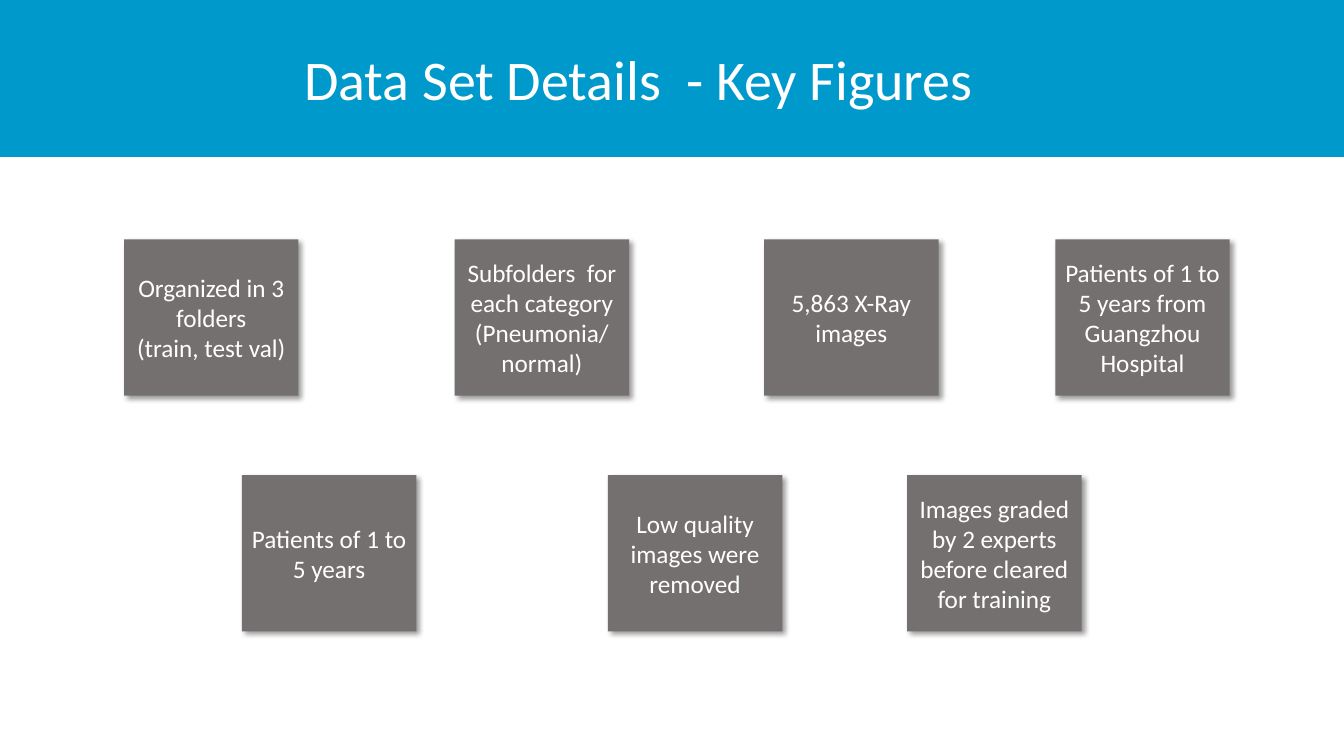
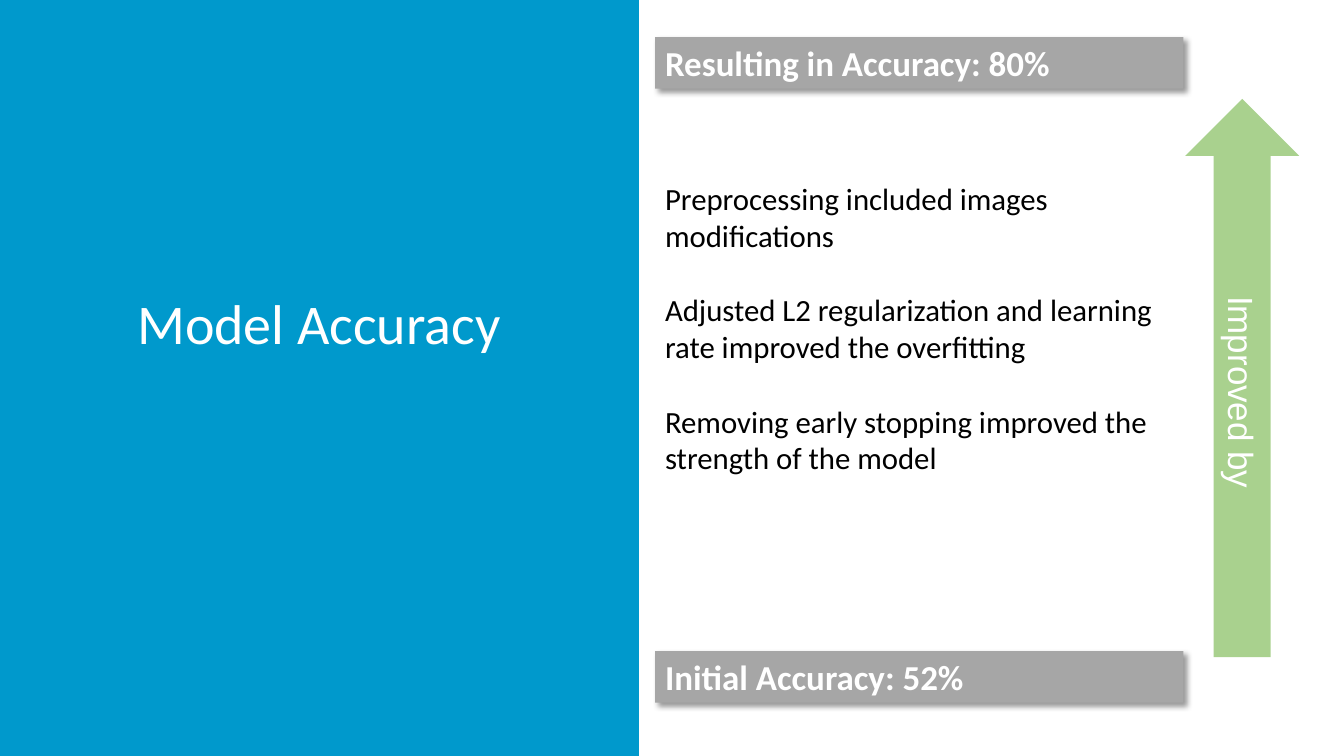
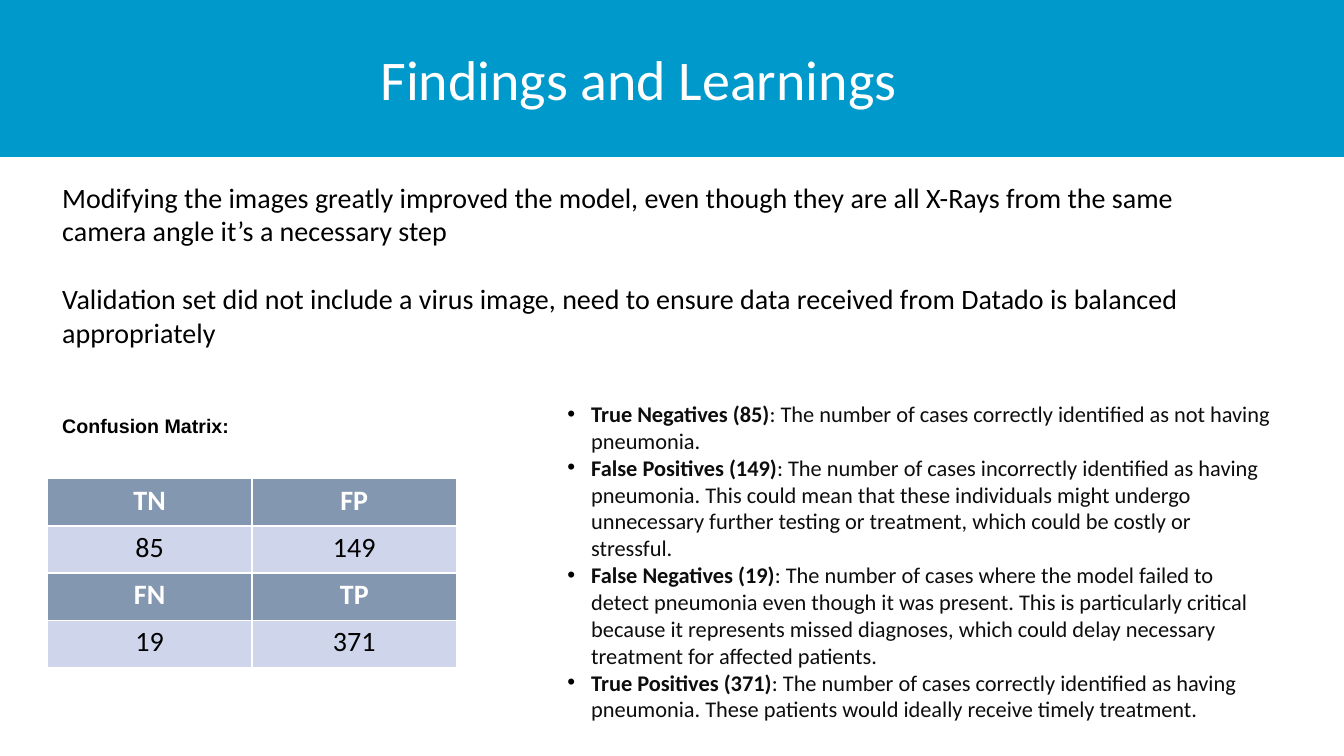
from lxml.etree import SubElement
from pptx import Presentation
from pptx.dml.color import RGBColor
from pptx.enum.shapes import MSO_SHAPE as Preset
from pptx.enum.text import MSO_ANCHOR as Anchor, MSO_AUTO_SIZE as AutoSize, PP_ALIGN as Align
from pptx.oxml.ns import qn
from pptx.util import Pt

BLUE = RGBColor(0x00, 0x99, 0xCC)
WHITE = RGBColor(0xFF, 0xFF, 0xFF)
BLACK = RGBColor(0x00, 0x00, 0x00)
INK = RGBColor(0x0D, 0x0D, 0x0D)
CARD_GREY = RGBColor(0x75, 0x70, 0x70)
BAR_GREY = RGBColor(0xA6, 0xA6, 0xA6)
ARROW_GREEN = RGBColor(0xA9, 0xD1, 0x8E)
HEADER_SLATE = RGBColor(0x84, 0x97, 0xB0)
CELL_LAVENDER = RGBColor(0xCF, 0xD5, 0xEA)

SLIDE_WIDTH, SLIDE_HEIGHT = 960, 540
BAND_HEIGHT = 111.6
TOP_TITLE = (33.8, 28, 844.6, 55.4)
CARD_WIDTH, CARD_HEIGHT = 124.6, 111.6

CARD_ROWS = [
    (171, [
        (88.6, ["Organized in 3 folders", "(train, test val)"]),
        (324.8, ["Subfolders  for each category", "(Pneumonia/ normal)"]),
        (545.8, ["5,863 X-Ray images"]),
        (753.8, ["Patients of 1 to 5 years from Guangzhou Hospital"]),
    ]),
    (339.4, [
        (172.8, ["Patients of 1 to 5 years"]),
        (434.2, ["Low quality images were removed"]),
        (648, ["Images graded by 2 experts before cleared for training"]),
    ]),
]
IMPROVEMENTS = [
    "Preprocessing included images modifications",
    "Adjusted L2 regularization and learning rate improved the overfitting",
    "Removing early stopping improved the strength of the model",
]
FINDINGS = [
    "Modifying the images greatly improved the model, even though they are all X-Rays "
    "from the same camera angle it’s a necessary step",
    "Validation set did not include a virus image, need to ensure data received from "
    "Datado is balanced appropriately",
]
CONFUSION_MATRIX = [("TN", "FP"), ("85", "149"), ("FN", "TP"), ("19", "371")]
OUTCOMES = [
    ("True Negatives (85)",
     ": The number of cases correctly identified as not having pneumonia."),
    ("False Positives (149)",
     ": The number of cases incorrectly identified as having pneumonia. This could mean "
     "that these individuals might undergo unnecessary further testing or treatment, "
     "which could be costly or stressful."),
    ("False Negatives (19)",
     ": The number of cases where the model failed to detect pneumonia even though it was "
     "present. This is particularly critical because it represents missed diagnoses, "
     "which could delay necessary treatment for affected patients."),
    ("True Positives (371)",
     ": The number of cases correctly identified as having pneumonia. These patients "
     "would ideally receive timely treatment."),
]


def points(box):
    return [Pt(length) for length in box]


def style_paragraph(paragraph, size, color, name="Calibri", bold=False, align=Align.LEFT):
    paragraph.alignment = align
    font = paragraph.font
    font.size, font.name, font.bold = Pt(size), name, bold
    font.color.rgb = color


def write(frame, texts, size, color, gap=0, **style):
    """Put one paragraph per text into the frame, with gap points between them."""
    frame.word_wrap = True
    for index, text in enumerate(texts):
        paragraph = frame.add_paragraph() if index else frame.paragraphs[0]
        paragraph.text = text
        if index:
            paragraph.space_before = Pt(gap)
        style_paragraph(paragraph, size, color, **style)


def add_filled(slide, preset, box, color):
    shape = slide.shapes.add_shape(preset, *points(box))
    shape.shadow.inherit = False
    shape.fill.solid()
    shape.fill.fore_color.rgb = color
    shape.line.fill.background()
    shape.text_frame.vertical_anchor = Anchor.MIDDLE
    return shape


def add_shadowed_box(slide, box, color, texts, size, **style):
    shape = add_filled(slide, Preset.RECTANGLE, box, color)
    effects = shape.element.spPr.find(qn("a:effectLst"))
    shadow = SubElement(effects, qn("a:outerShdw"), blurRad=str(Pt(4)), dist=str(Pt(3)),
                        dir="2700000", algn="tl", rotWithShape="0")
    shadow_color = SubElement(shadow, qn("a:srgbClr"), val="000000")
    SubElement(shadow_color, qn("a:alpha"), val="40000")
    write(shape.text_frame, texts, size, WHITE, **style)


def add_text(slide, box, texts, size, color, **style):
    frame = slide.shapes.add_textbox(*points(box)).text_frame
    write(frame, texts, size, color, **style)
    return frame


def add_titled_slide(presentation, title_text, title_box=TOP_TITLE,
                     band_size=(SLIDE_WIDTH, BAND_HEIGHT)):
    """Add a slide whose white title stands on a blue band."""
    slide = presentation.slides.add_slide(presentation.slide_layouts[5])
    title = slide.shapes.title
    title.left, title.top, title.width, title.height = points(title_box)
    title.text_frame.vertical_anchor = Anchor.TOP
    title.text_frame.auto_size = AutoSize.NONE
    write(title.text_frame, [title_text], 40, WHITE, align=Align.CENTER)
    band = add_filled(slide, Preset.RECTANGLE, (0, 0, *band_size), BLUE)
    band.line.color.rgb = BLUE
    band.line.width = Pt(1)
    title.element.addprevious(band.element)
    return slide


def add_matrix(slide, box, rows):
    """Add a table whose even rows are headings and odd rows values."""
    table = slide.shapes.add_table(len(rows), len(rows[0]), *points(box)).table
    table.horz_banding = False
    for row_index, row in enumerate(rows):
        heading = row_index % 2 == 0
        for column_index, text in enumerate(row):
            cell = table.cell(row_index, column_index)
            cell.fill.solid()
            cell.fill.fore_color.rgb = HEADER_SLATE if heading else CELL_LAVENDER
            write(cell.text_frame, [text], 20, WHITE if heading else BLACK,
                  bold=heading, align=Align.CENTER)


def add_term_bullets(slide, box, entries, size, indent):
    """Add bullets that each open with a bold term."""
    frame = slide.shapes.add_textbox(*points(box)).text_frame
    frame.word_wrap = True
    for index, (term, meaning) in enumerate(entries):
        paragraph = frame.add_paragraph() if index else frame.paragraphs[0]
        properties = paragraph._p.get_or_add_pPr()
        properties.set("marL", str(Pt(indent)))
        properties.set("indent", str(-Pt(indent)))
        bullet_color = SubElement(properties, qn("a:buClr"))
        SubElement(bullet_color, qn("a:srgbClr"), val=str(BLACK))
        SubElement(properties, qn("a:buFont"), typeface="Arial")
        SubElement(properties, qn("a:buChar"), char="•")
        style_paragraph(paragraph, size, INK)
        for text, bold in ((term, True), (meaning, False)):
            run = paragraph.add_run()
            run.text = text
            run.font.bold = bold


def build_key_figures(presentation):
    slide = add_titled_slide(presentation, "Data Set Details  - Key Figures")
    for top, cards in CARD_ROWS:
        for left, texts in cards:
            add_shadowed_box(slide, (left, top, CARD_WIDTH, CARD_HEIGHT), CARD_GREY,
                             texts, 18, align=Align.CENTER)


def build_accuracy(presentation):
    slide = add_titled_slide(presentation, "Model Accuracy", (51.8, 202.4, 352, 55.4),
                             (456, SLIDE_HEIGHT))
    frame = add_text(slide, (468, 121, 366.4, 313), IMPROVEMENTS, 22, BLACK, gap=26.8)
    frame.margin_top = frame.margin_bottom = Pt(7.2)
    for top, text in ((26.6, "Resulting in Accuracy: 80%"), (465.2, "Initial Accuracy: 52%")):
        add_shadowed_box(slide, (468, top, 377.4, 36.8), BAR_GREY, [text], 25, bold=True)
    arrow = add_filled(slide, Preset.UP_ARROW, (846.6, 70.6, 81.4, 398.8), ARROW_GREEN)
    write(arrow.text_frame, ["Improved by"], 25, WHITE, name="Arial", align=Align.CENTER)
    arrow.element.txBody.bodyPr.set("vert", "vert")


def build_findings(presentation):
    slide = add_titled_slide(presentation, "Findings and Learnings")
    frame = add_text(slide, (37.4, 121.6, 861, 193.6), FINDINGS, 20, BLACK, gap=24.4)
    frame.margin_top = frame.margin_bottom = Pt(7.2)
    add_matrix(slide, (33.8, 342, 292.4, 134.6), CONFUSION_MATRIX)
    add_text(slide, (37.4, 292.4, 380, 24.4), ["Confusion Matrix:"], 14, BLACK,
             name="Arial", bold=True)
    add_term_bullets(slide, (398.2, 282.2, 519.8, 220.4), OUTCOMES, 16, 17)


def main():
    presentation = Presentation()
    presentation.slide_width, presentation.slide_height = Pt(SLIDE_WIDTH), Pt(SLIDE_HEIGHT)
    build_key_figures(presentation)
    build_accuracy(presentation)
    build_findings(presentation)
    presentation.save("out.pptx")


if __name__ == "__main__":
    main()
